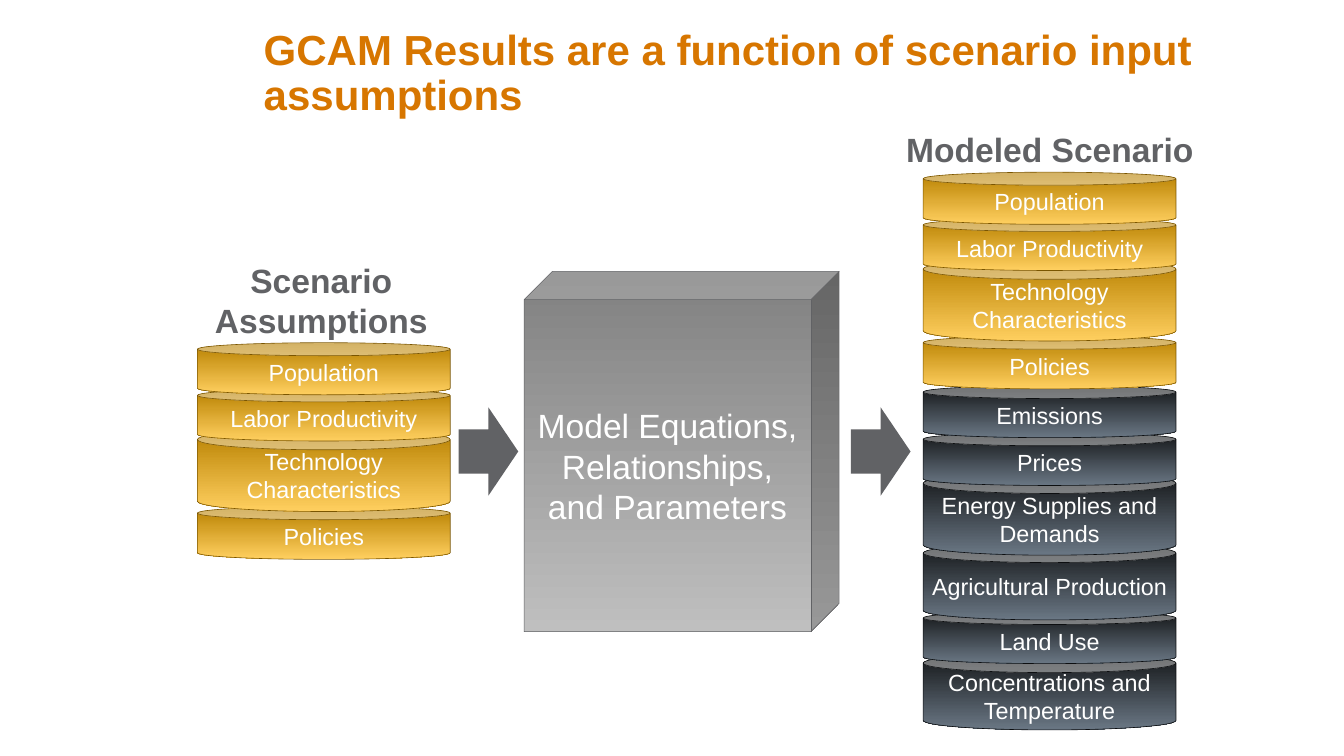
from pptx import Presentation
from pptx.dml.color import RGBColor
from pptx.enum.shapes import MSO_SHAPE as Shape
from pptx.enum.text import MSO_ANCHOR as Anchor, PP_ALIGN as Align
from pptx.util import Inches, Pt

WHITE = RGBColor(0xFF, 0xFF, 0xFF)
ORANGE = RGBColor(0xD7, 0x76, 0x00)
GREY = RGBColor(0x61, 0x62, 0x65)
GOLD = (RGBColor(0xB7, 0x80, 0x00), RGBColor(0xFF, 0xCF, 0x5F), RGBColor(0x7A, 0x55, 0x00))
SLATE = (RGBColor(0x13, 0x15, 0x17), RGBColor(0x6A, 0x77, 0x84), RGBColor(0x0C, 0x0E, 0x10))
STEEL = (RGBColor(0x80, 0x80, 0x80), RGBColor(0xBF, 0xBF, 0xBF), GREY)

INPUTS = [
    ("Population", 0, 0.62, GOLD),
    ("Labor Productivity", 0.55, 0.62, GOLD),
    ("Technology Characteristics", 1.03, 0.98, GOLD),
    ("Policies", 1.95, 0.63, GOLD),
]
OUTPUTS = [
    ("Emissions", 2.54, 0.62, SLATE),
    ("Prices", 3.1, 0.63, SLATE),
    ("Energy Supplies and Demands", 3.58, 0.98, SLATE),
    ("Agricultural Production", 4.42, 0.91, SLATE),
    ("Land Use", 5.23, 0.62, SLATE),
    ("Concentrations and Temperature", 5.73, 0.91, SLATE),
]


class Deck:
    """Holds the text style and the current slide."""

    face = "Arial"

    def __init__(self, slide):
        self.slide = slide
        self.shapes = slide.shapes

    def letter(self, shape, text, size, color, bold=False, align=Align.CENTER, **frame):
        body = shape.text_frame
        for key, value in {"word_wrap": True, **frame}.items():
            setattr(body, key, value)
        para = body.paragraphs[0]
        para.text = text
        para.alignment = align
        style = {"name": self.face, "size": Pt(size), "bold": bold}
        for key, value in style.items():
            setattr(para.font, key, value)
        para.font.color.rgb = color
        return para

    def label(self, box, text, size=28.8, color=GREY, **frame):
        shape = self.shapes.add_textbox(*map(Inches, box))
        return self.letter(shape, text, size, color, bold=True, **frame)

    def solid(self, kind, box, tones, text, size, home=None, **frame):
        shape = (home or self.shapes).add_shape(kind, *map(Inches, box))
        shape.shadow.inherit = False
        shape.fill.gradient()
        shape.fill.gradient_angle = 270
        for stop, tone in zip(shape.fill.gradient_stops, tones):
            stop.color.rgb = tone
        shape.line.color.rgb = tones[-1]
        shape.line.width = Pt(0.5)
        self.letter(shape, text, size, WHITE, vertical_anchor=Anchor.MIDDLE, **frame)
        return shape

    def stack(self, left, top, cans):
        group = self.shapes.add_group_shape()
        side = Inches(0.05)
        for text, drop, height, tones in reversed(cans):
            box = (left, top + drop, 3.01, height)
            self.solid(Shape.CAN, box, tones, text, 20, group.shapes,
                       margin_left=side, margin_right=side)

    def arrow(self, left):
        shape = self.shapes.add_shape(
            Shape.RIGHT_ARROW, *map(Inches, (left, 4.85, 0.71, 1.05)))
        shape.shadow.inherit = False
        shape.fill.solid()
        shape.fill.fore_color.rgb = GREY
        shape.line.fill.background()


def main():
    show = Presentation()
    show.slide_width, show.slide_height = Inches(16), Inches(9)
    deck = Deck(show.slides.add_slide(show.slide_layouts[6]))

    title = deck.label((3.14, 0.3, 12.36, 1.43),
                       "GCAM Results are a function of scenario input assumptions",
                       36, ORANGE, align=Align.LEFT, margin_left=0)
    title.line_spacing = 0.9

    deck.label((2.19, 3.04, 3.27, 1.07), "Scenario Assumptions")
    deck.stack(2.35, 4.08, INPUTS)
    deck.arrow(5.46)
    cube = deck.solid(Shape.CUBE, (6.24, 3.23, 3.75, 4.29), STEEL,
                      "Model Equations, Relationships, and Parameters", 28.8)
    cube.adjustments[0] = 0.09
    deck.arrow(10.13)
    deck.label((10.52, 1.48, 3.96, 0.59), "Modeled Scenario")
    deck.stack(10.99, 2.05, INPUTS + OUTPUTS)

    show.save("out.pptx")


if __name__ == "__main__":
    main()
